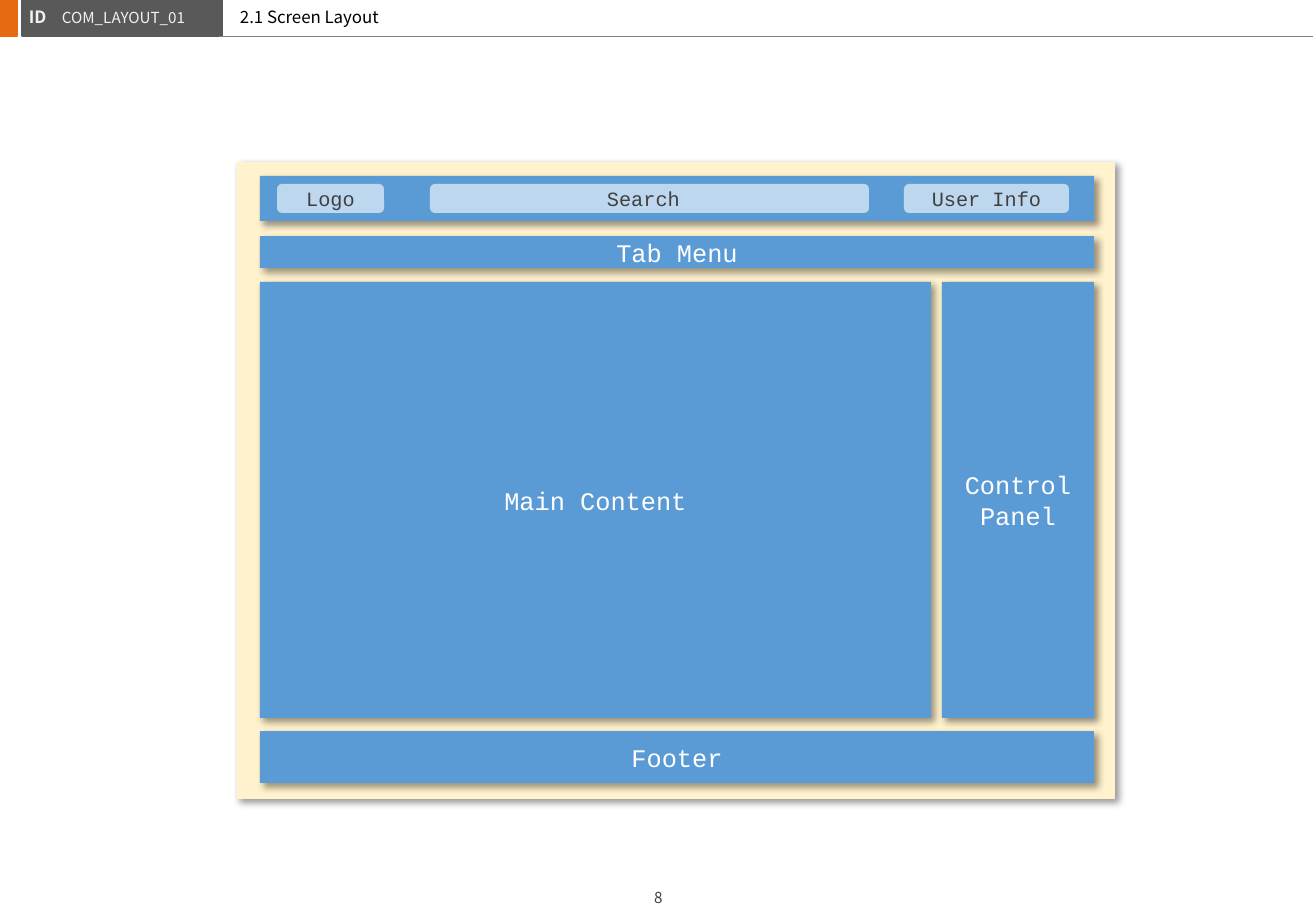
from lxml import etree
from pptx import Presentation
from pptx.dml.color import RGBColor
from pptx.enum.shapes import MSO_CONNECTOR, MSO_SHAPE
from pptx.enum.text import MSO_ANCHOR, PP_ALIGN
from pptx.oxml import parse_xml
from pptx.oxml.ns import nsdecls, qn
from pptx.util import Pt

PX = 914400 / 121.5  # EMU in one px

ORANGE = RGBColor(0xE6, 0x69, 0x14)
DARK_GRAY = RGBColor(0x59, 0x59, 0x59)
RULE_GRAY = RGBColor(0x80, 0x80, 0x80)
TEXT_GRAY = RGBColor(0x40, 0x40, 0x40)
PALE_GRAY = RGBColor(0xF2, 0xF2, 0xF2)
BLACK = RGBColor(0, 0, 0)
WHITE = RGBColor(0xFF, 0xFF, 0xFF)
CREAM = RGBColor(0xFF, 0xF2, 0xCC)
BLUE = RGBColor(0x5B, 0x9B, 0xD5)
LIGHT_BLUE = RGBColor(0xBD, 0xD7, 0xEE)

SANS = "Noto Sans CJK KR"
MONO = "Courier New"

SHADOW = f"""<a:outerShdw {nsdecls("a")} blurRad="50800" dist="38100" dir="2700000"
    algn="tl" rotWithShape="0"><a:srgbClr val="000000"><a:alpha val="40000"/></a:srgbClr>
    </a:outerShdw>"""


def emu(*lengths):
    """Turn px lengths into EMU."""
    return [round(length * PX) for length in lengths]


def add_block(page, place, color, kind=MSO_SHAPE.RECTANGLE):
    block = page.shapes.add_shape(kind, *emu(*place))
    block.fill.solid()
    block.fill.fore_color.rgb = color
    block.line.fill.background()
    block.shadow.inherit = False
    return block


deck = Presentation()
deck.slide_width, deck.slide_height = emu(1316, 911)
page = deck.slides.add_slide(deck.slide_layouts[6])

# Header bar
for place, color in [((0, 0, 17, 36), ORANGE), ((22, 0, 200, 36), DARK_GRAY)]:
    bar = add_block(page, place, color)
    bar.line.color.rgb = color
    bar.line.width = Pt(1)

rule = page.shapes.add_connector(MSO_CONNECTOR.STRAIGHT, *emu(219, 36, 1313, 36))
rule.line.color.rgb = RULE_GRAY
rule.line.width = Pt(0.5)
etree.SubElement(rule.element.spPr, qn("a:effectLst"))

# Header texts and page number
labels = [
    ("ID", (17, 1, 43, 33), 10, PALE_GRAY, True, PP_ALIGN.LEFT, MSO_ANCHOR.TOP, 1.0),
    ("8", (632, 882, 53, 29), 9, TEXT_GRAY, False, PP_ALIGN.CENTER, MSO_ANCHOR.TOP, 1.0),
    ("2.1 Screen Layout", (228, 1, 889, 32), 10, BLACK, False, PP_ALIGN.LEFT,
     MSO_ANCHOR.BOTTOM, 0.9),
    ("COM_LAYOUT_01", (50, 4, 164, 28), 9, PALE_GRAY, False, PP_ALIGN.LEFT,
     MSO_ANCHOR.TOP, 0.9),
]
for text, place, size, color, bold, align, anchor, spacing in labels:
    frame = page.shapes.add_textbox(*emu(*place)).text_frame
    frame.word_wrap = True
    frame.vertical_anchor = anchor
    para = frame.paragraphs[0]
    para.alignment = align
    para.line_spacing = spacing
    span = para.add_run()
    span.text = text
    span.font.name = SANS
    span.font.size = Pt(size)
    span.font.bold = bold
    span.font.color.rgb = color

# Screen layout: the window, its areas, then the fields of the top area
LEFT, WIDTH = 260, 834
RECT, ROUND = MSO_SHAPE.RECTANGLE, MSO_SHAPE.ROUNDED_RECTANGLE
areas = [
    ([], (237, 162, 878, 637), CREAM, RECT),
    ([], (LEFT, 176, WIDTH, 45), BLUE, RECT),
    (["Tab Menu"], (LEFT, 236, WIDTH, 32), BLUE, RECT),
    (["Main Content"], (LEFT, 282, 671, 436), BLUE, RECT),
    (["Control", "Panel"], (942, 282, 152, 436), BLUE, RECT),
    (["Footer"], (LEFT, 731, WIDTH, 52), BLUE, RECT),
    (["Logo"], (277, 184, 107, 29), LIGHT_BLUE, ROUND),
    (["Search "], (430, 184, 439, 29), LIGHT_BLUE, ROUND),
    (["User Info"], (904, 184, 165, 29), LIGHT_BLUE, ROUND),
]
for lines, place, color, kind in areas:
    area = add_block(page, place, color, kind)
    if kind == RECT:
        area.element.spPr.find(qn("a:effectLst")).append(parse_xml(SHADOW))
    frame = area.text_frame
    frame.vertical_anchor = MSO_ANCHOR.MIDDLE
    for number, line in enumerate(lines):
        para = frame.add_paragraph() if number else frame.paragraphs[0]
        para.alignment = PP_ALIGN.CENTER
        span = para.add_run()
        span.text = line
        span.font.name = MONO
        span.font.size = Pt(15 if kind == RECT else 12)
        span.font.color.rgb = WHITE if kind == RECT else TEXT_GRAY

deck.save("out.pptx")
